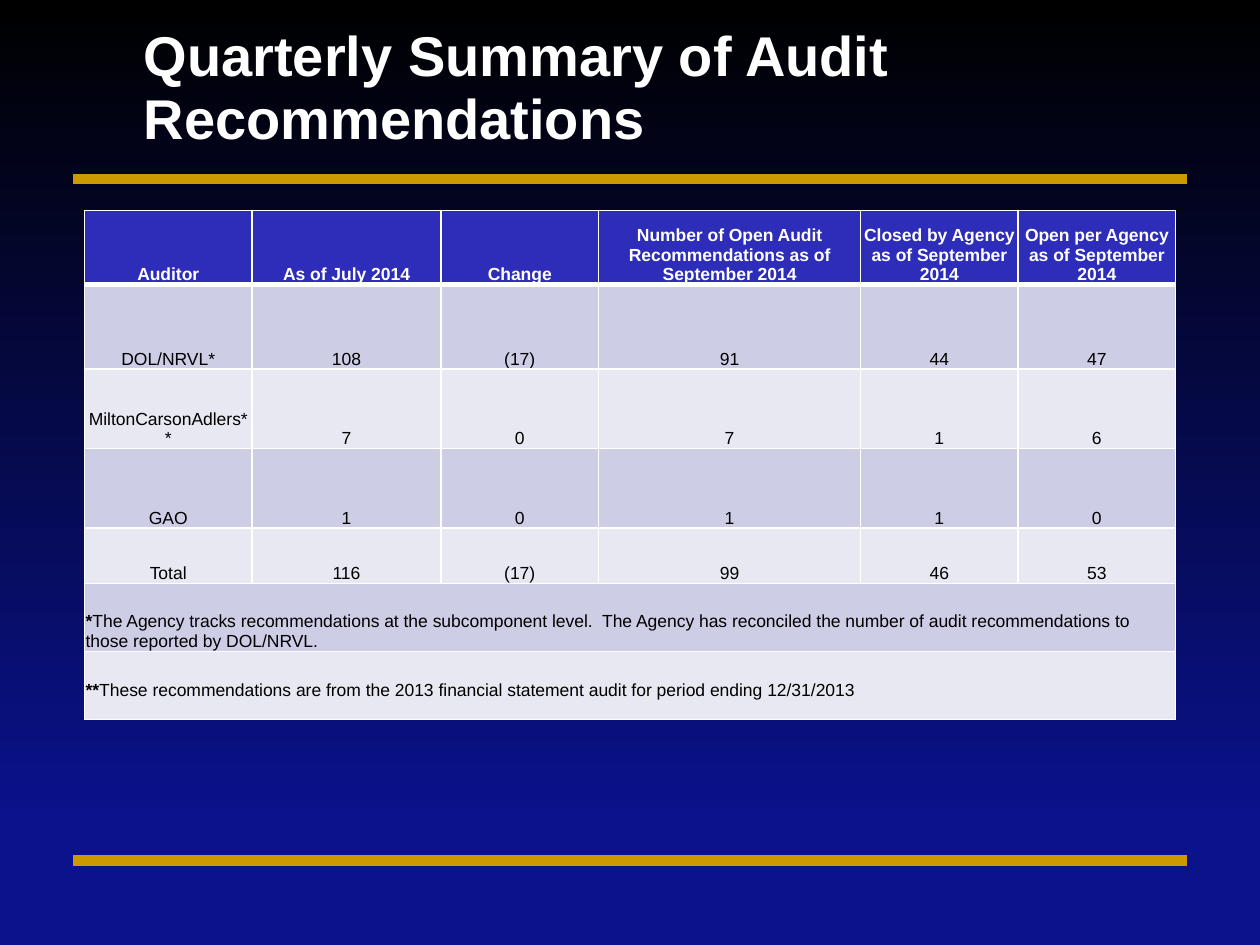
from lxml import etree
from pptx import Presentation
from pptx.dml.color import RGBColor
from pptx.enum.shapes import MSO_CONNECTOR
from pptx.enum.text import MSO_ANCHOR, PP_ALIGN
from pptx.oxml.ns import qn
from pptx.util import Inches, Pt

STRAIGHT = MSO_CONNECTOR.STRAIGHT
MIDDLE, BOTTOM = MSO_ANCHOR.MIDDLE, MSO_ANCHOR.BOTTOM
LEFT, CENTER = PP_ALIGN.LEFT, PP_ALIGN.CENTER

BLACK = RGBColor(0x00, 0x00, 0x00)
WHITE = RGBColor(0xFF, 0xFF, 0xFF)
NAVY = RGBColor(0x0A, 0x12, 0x8C)
GOLD = RGBColor(0xCC, 0x99, 0x00)
HEADER_BLUE = RGBColor(0x2D, 0x2D, 0xB9)
BAND_DARK = RGBColor(0xCD, 0xCD, 0xE6)
BAND_LIGHT = RGBColor(0xE8, 0xE8, 0xF3)
FONT = "Arial"

COLUMN_WIDTHS = [1.33, 1.5, 1.25, 2.08, 1.25, 1.25]
ROW_HEIGHTS = [0.59, 0.67, 0.63, 0.63, 0.44, 0.54, 0.54]
ROWS = [
    ["Auditor", "As of July 2014", "Change",
     "Number of Open Audit Recommendations as of September 2014",
     "Closed by Agency as of September 2014",
     "Open per Agency as of September 2014"],
    ["DOL/NRVL*", "108", "(17)", "91", "44", "47"],
    ["MiltonCarsonAdlers**", "7", "0", "7", "1", "6"],
    ["GAO", "1", "0", "1", "1", "0"],
    ["Total", "116", "(17)", "99", "46", "53"],
]
# Marker, note and space below it
NOTES = [
    ("*", "The Agency tracks recommendations at the subcomponent level.  "
          "The Agency has reconciled the number of audit recommendations to "
          "those reported by DOL/NRVL.", 0),
    ("**", "These recommendations are from the 2013 financial statement audit "
           "for period ending 12/31/2013", 0.15),
]


def format_span(span, size, color, bold):
    span.font.name = FONT
    span.font.size = Pt(size)
    span.font.color.rgb = color
    span.font.bold = bold


def paint_background(page):
    fill = page.background.fill
    fill.gradient()
    fill.gradient_angle = 270
    for stop, position, color in zip(fill.gradient_stops, (0, 0.87), (BLACK, NAVY)):
        stop.position = position
        stop.color.rgb = color


def add_rule(page, y):
    rule = page.shapes.add_connector(
        STRAIGHT, Inches(0.58), Inches(y), Inches(9.42), Inches(y))
    rule.line.color.rgb = GOLD
    rule.line.width = Pt(6)
    etree.SubElement(rule._element.spPr, qn("a:effectLst"))


def set_title(page, text):
    title = page.shapes.title
    title.left, title.top = Inches(1.04), Inches(0.08)
    title.width, title.height = Inches(8.79), Inches(1.25)
    frame = title.text_frame
    frame.text = text
    frame.word_wrap = True
    frame.vertical_anchor = MIDDLE
    para = frame.paragraphs[0]
    para.alignment = LEFT
    para.line_spacing = 0.95
    format_span(para.runs[0], 32, WHITE, True)


def set_borders(cell, bottom_width):
    properties = cell._tc.get_or_add_tcPr()
    widths = {"a:lnL": 1, "a:lnR": 1, "a:lnT": 1, "a:lnB": bottom_width}
    for index, (tag, width) in enumerate(widths.items()):
        border = etree.Element(qn(tag), w=str(Pt(width)))
        fill = etree.SubElement(border, qn("a:solidFill"))
        etree.SubElement(fill, qn("a:srgbClr"), val=str(WHITE))
        properties.insert(index, border)


def style_cell(cell, row):
    cell.fill.solid()
    cell.fill.fore_color.rgb = (
        HEADER_BLUE if row == 0 else BAND_DARK if row % 2 else BAND_LIGHT)
    cell.vertical_anchor = BOTTOM
    cell.margin_left = cell.margin_right = cell.margin_top = Inches(0.01)
    cell.margin_bottom = 0
    set_borders(cell, 3 if row == 0 else 1)


def fill_cell(cell, text, is_header):
    cell.text = text
    para = cell.text_frame.paragraphs[0]
    para.alignment = CENTER
    format_span(para.runs[0], 10, WHITE if is_header else BLACK, is_header)


def fill_note(cell, marker, note, space_below):
    cell.margin_bottom = Inches(space_below)
    para = cell.text_frame.paragraphs[0]
    para.alignment = LEFT
    for text, bold in ((marker, True), (note, False)):
        span = para.add_run()
        span.text = text
        format_span(span, 10, BLACK, bold)


def add_audit_table(page):
    table = page.shapes.add_table(
        len(ROW_HEIGHTS), len(COLUMN_WIDTHS), Inches(0.67), Inches(1.67),
        Inches(sum(COLUMN_WIDTHS)), Inches(sum(ROW_HEIGHTS))).table
    for column, width in zip(table.columns, COLUMN_WIDTHS):
        column.width = Inches(width)
    for index, height in enumerate(ROW_HEIGHTS):
        table.rows[index].height = Inches(height)
        for cell in table.rows[index].cells:
            style_cell(cell, index)

    # Header and figures
    for row, texts in enumerate(ROWS):
        for column, text in enumerate(texts):
            fill_cell(table.cell(row, column), text, row == 0)

    # Footnotes across the full width
    for row, note in enumerate(NOTES, start=len(ROWS)):
        first = table.cell(row, 0)
        first.merge(table.cell(row, len(COLUMN_WIDTHS) - 1))
        fill_note(first, *note)


def main():
    deck = Presentation()
    deck.slide_width, deck.slide_height = Inches(10), Inches(7.5)
    page = deck.slides.add_slide(deck.slide_layouts[5])
    paint_background(page)
    for y in (1.42, 6.83):
        add_rule(page, y)
    set_title(page, "Quarterly Summary of Audit Recommendations")
    add_audit_table(page)
    deck.save("out.pptx")


if __name__ == "__main__":
    main()
